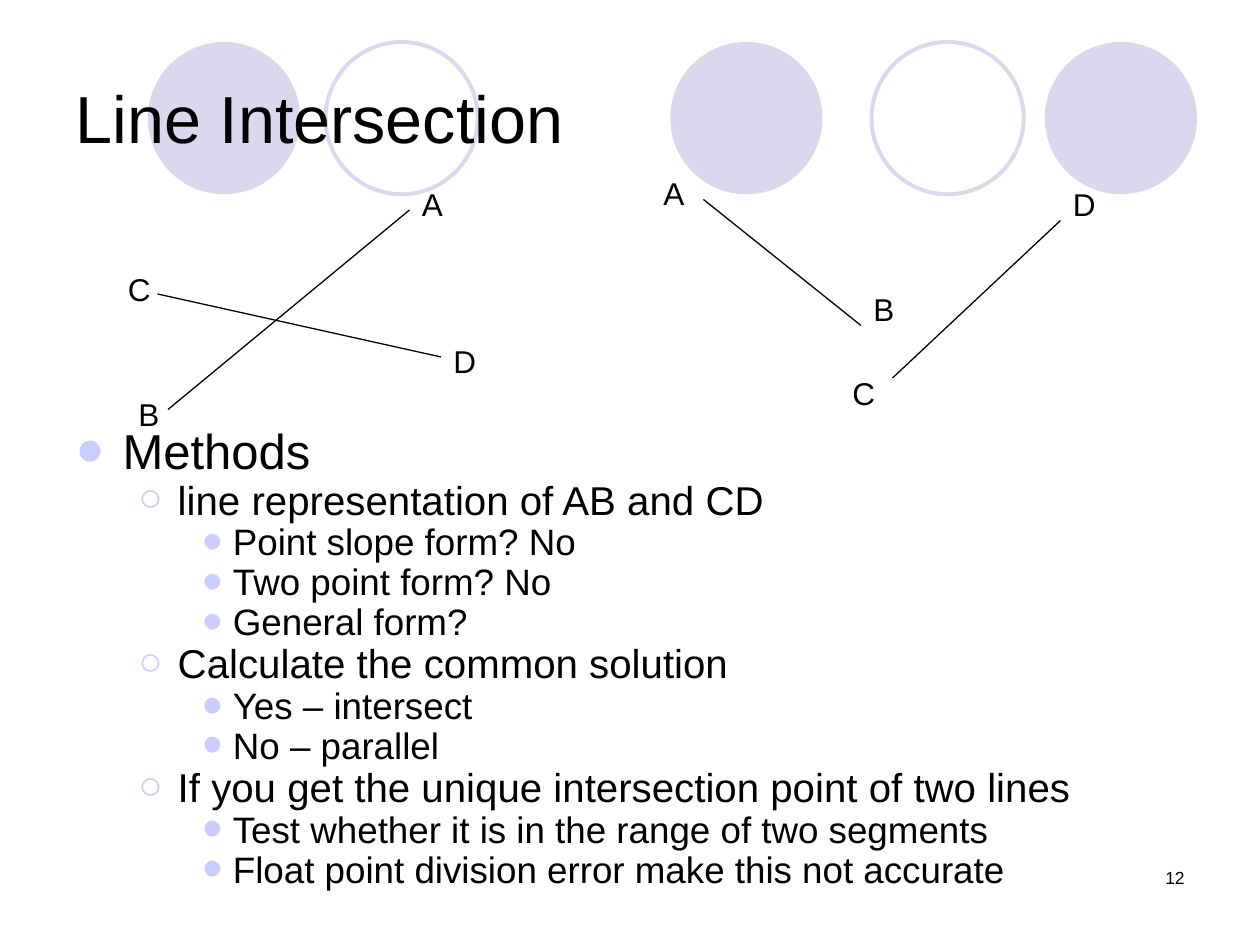
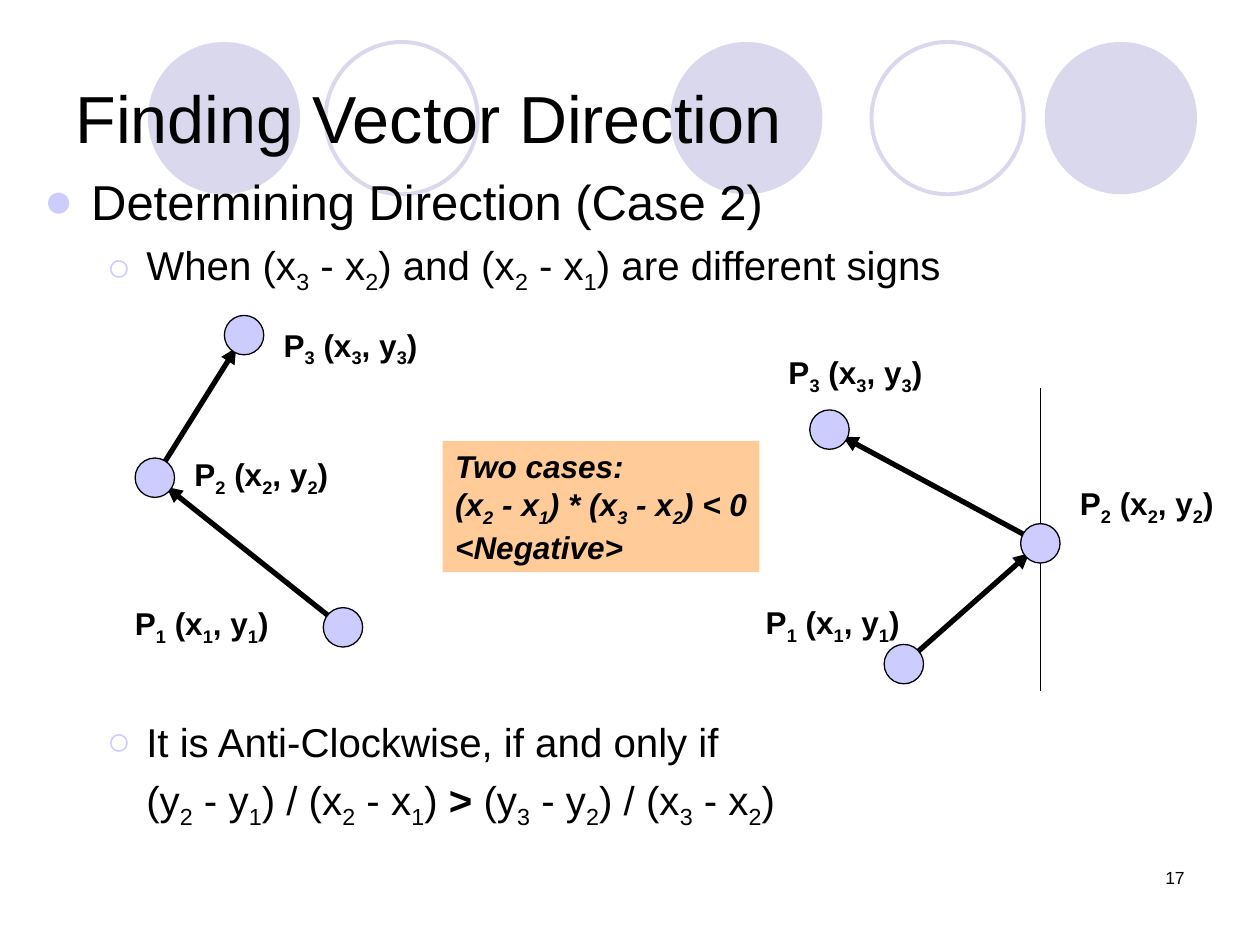
from math import hypot

from lxml.etree import SubElement
from pptx import Presentation
from pptx.dml.color import RGBColor
from pptx.enum.dml import MSO_LINE
from pptx.enum.shapes import MSO_CONNECTOR, MSO_SHAPE
from pptx.enum.text import MSO_ANCHOR, MSO_AUTO_SIZE, PP_ALIGN
from pptx.oxml.ns import qn
from pptx.util import Pt

BLACK = RGBColor(0, 0, 0)
HAZE = RGBColor(0xD9, 0xD8, 0xEC)
LILAC = RGBColor(0xCC, 0xCC, 0xFF)
PEACH = RGBColor(0xFF, 0xCC, 0x99)
FONT = "Arial"
LEVELS = [(27, 27, "●", 28, 7), (58.5, 22.5, "○", 23, 5.8), (90, 18, "●", 21, 5.2)]
NODE = 22.5
TIP = 8.5


def style(para, size, bold=None, italic=None):
    font = para.font
    font.name = FONT
    font.size = Pt(size)
    font.color.rgb = BLACK
    font.bold = bold
    font.italic = italic


def write(para, text, bold=None):
    first, *rest = text.split("_")
    pieces = [(first, False)]
    for part in rest:
        pieces += [(part[0], True), (part[1:], False)]
    for piece, low in pieces:
        if piece:
            run = para.add_run()
            run.text = piece
            if bold:
                run.font.bold = True
            if low:
                run._r.get_or_add_rPr().set("baseline", "-25000")


def add_disc(slide, x, y, size, fill=None, line=None, width=0.75):
    disc = slide.shapes.add_shape(MSO_SHAPE.OVAL, Pt(x), Pt(y), Pt(size), Pt(size))
    disc.shadow.inherit = False
    if fill is None:
        disc.fill.background()
    else:
        disc.fill.solid()
        disc.fill.fore_color.rgb = fill
    if line is None:
        disc.line.fill.background()
    else:
        disc.line.color.rgb = line
        disc.line.width = Pt(width)
    return disc


def add_line(slide, start, end, width=0.75, arrow=False):
    ends = [Pt(v) for v in (*start, *end)]
    line = slide.shapes.add_connector(MSO_CONNECTOR.STRAIGHT, *ends)
    line.line.color.rgb = BLACK
    line.line.width = Pt(width)
    if arrow:
        SubElement(line.line._get_or_add_ln(), qn("a:tailEnd"), type="triangle")
    SubElement(line._element.spPr, qn("a:effectLst"))
    return line


def add_box(slide, x, y, width, height, wrap=True):
    box = slide.shapes.add_textbox(Pt(x), Pt(y), Pt(width), Pt(height))
    box.text_frame.word_wrap = wrap
    return box


def add_label(slide, text, x, y, width, height=29, size=18, bold=None, wrap=False):
    para = add_box(slide, x, y, width, height, wrap).text_frame.paragraphs[0]
    write(para, text)
    style(para, size, bold)
    return para


def add_item(frame, level, text, gap=None, spread=None, mark=True):
    first = not frame.paragraphs[0].runs
    para = frame.paragraphs[0] if first else frame.add_paragraph()
    left, hang, sign, size, before = LEVELS[level]
    props = para._p.get_or_add_pPr()
    props.set("marL", str(Pt(left)))
    props.set("indent", str(-Pt(hang) if mark else 0))
    if mark:
        tint = SubElement(props, qn("a:buClr"))
        SubElement(tint, qn("a:srgbClr"), val=str(LILAC))
        SubElement(props, qn("a:buFont"), typeface=FONT)
        SubElement(props, qn("a:buChar"), char=sign)
    para.level = level
    para.space_before = Pt(0 if first else gap or before)
    if spread:
        para.line_spacing = spread
    write(para, text)
    style(para, size)
    return para


def add_path(slide, nodes):
    for (x, y), (u, v) in zip(nodes, nodes[1:]):
        part = 1 - TIP / hypot(u - x, v - y)
        add_line(slide, (x, y), (x + (u - x) * part, y + (v - y) * part), 3, True)
    for x, y in nodes:
        add_disc(slide, x - NODE / 2, y - NODE / 2, NODE, LILAC, BLACK)


def add_rings(slide, layout):
    for x in (383, 597, 84.5):
        layout.shapes.element.append(add_disc(slide, x, 24, 87, HAZE).element)
    for x in (498, 186):
        layout.shapes.element.append(add_disc(slide, x, 24, 87, None, HAZE, 2.25).element)


def add_page(deck, title, number):
    slide = deck.slides.add_slide(deck.slide_layouts[5])
    head = slide.shapes.title
    head.left, head.top, head.width, head.height = Pt(36), Pt(21.6), Pt(648), Pt(90)
    frame = head.text_frame
    frame.auto_size = MSO_AUTO_SIZE.NONE
    frame.vertical_anchor = MSO_ANCHOR.MIDDLE
    para = frame.paragraphs[0]
    write(para, title)
    para.alignment = PP_ALIGN.LEFT
    style(para, 38)
    page = add_label(slide, number, 516, 492, 168, 36, 10, wrap=True)
    page.alignment = PP_ALIGN.RIGHT
    return slide


def add_cross(deck):
    slide = add_page(deck, "Line Intersection", "12")
    add_rings(slide, slide.slide_layout)
    frame = add_box(slide, 36, 246, 648, 294).text_frame
    for level, text in [
        (0, "Methods"),
        (1, "line representation of AB and CD"),
        (2, "Point slope form? No"),
        (2, "Two point form? No"),
        (2, "General form?"),
        (1, "Calculate the common solution"),
        (2, "Yes – intersect"),
        (2, "No – parallel"),
        (1, "If you get the unique intersection point of two lines"),
        (2, "Test whether it is in the range of two segments"),
        (2, "Float point division error make this not accurate"),
    ]:
        add_item(frame, level, text, spread=0.7)
    for start, end in [
        ((96, 234), (234, 120)),
        ((90, 168), (252, 204)),
        ((402, 114), (492, 186)),
        ((510, 216), (606, 126)),
    ]:
        add_line(slide, start, end)
    for name, x, y in [
        ("A", 234, 102), ("C", 66, 151), ("D", 252, 192), ("B", 72, 222),
        ("A", 372, 96), ("B", 492, 162), ("C", 480, 210), ("D", 606, 102),
    ]:
        add_label(slide, name, x, y, 30, wrap=True)


def add_turn(deck):
    slide = add_page(deck, "Finding Vector Direction", "17")
    axis = add_line(slide, (594.7, 222), (594.7, 394.5), 0.25)
    axis.line.dash_style = MSO_LINE.ROUND_DOT
    frame = add_box(slide, 18, 94.5, 685.5, 391).text_frame
    add_item(frame, 0, "Determining Direction (Case 2)")
    add_item(frame, 1, "When (x_3 - x_2) and (x_2 - x_1) are different signs")
    add_item(frame, 1, "It is Anti-Clockwise, if and only if", gap=241)
    rule = add_item(frame, 1, "(y_2 - y_1) / (x_2 - x_1) ", mark=False)
    write(rule, ">", bold=True)
    write(rule, " (y_3 - y_2) / (x_3 - x_2)")

    add_path(slide, [(196, 358.5), (88.5, 273), (139.5, 191.5)])
    add_path(slide, [(516.5, 379.5), (594.5, 310.5), (474, 245.5)])
    for spots in (
        [(70, 341.5), (104, 256.5), (155, 182.5)],
        [(430.5, 341), (610, 273), (443.5, 198)],
    ):
        for n, (x, y) in enumerate(spots, 1):
            add_label(slide, f"P_{n} (x_{n}, y_{n})", x, y, 90.7, 32, bold=True)

    note = slide.shapes.add_shape(MSO_SHAPE.RECTANGLE, Pt(253), Pt(252), Pt(181), Pt(75))
    note.shadow.inherit = False
    note.fill.solid()
    note.fill.fore_color.rgb = PEACH
    note.line.fill.background()
    frame = note.text_frame
    frame.word_wrap = False
    frame.vertical_anchor = MSO_ANCHOR.TOP
    for n, text in enumerate(["Two cases:", "(x_2 - x_1) * (x_3 - x_2) < 0", "<Negative>"]):
        para = frame.add_paragraph() if n else frame.paragraphs[0]
        para.alignment = PP_ALIGN.LEFT
        write(para, text)
        style(para, 18, True, True)


def main():
    deck = Presentation()
    deck.slide_width, deck.slide_height = Pt(720), Pt(540)
    add_cross(deck)
    add_turn(deck)
    deck.save("out.pptx")


if __name__ == "__main__":
    main()
